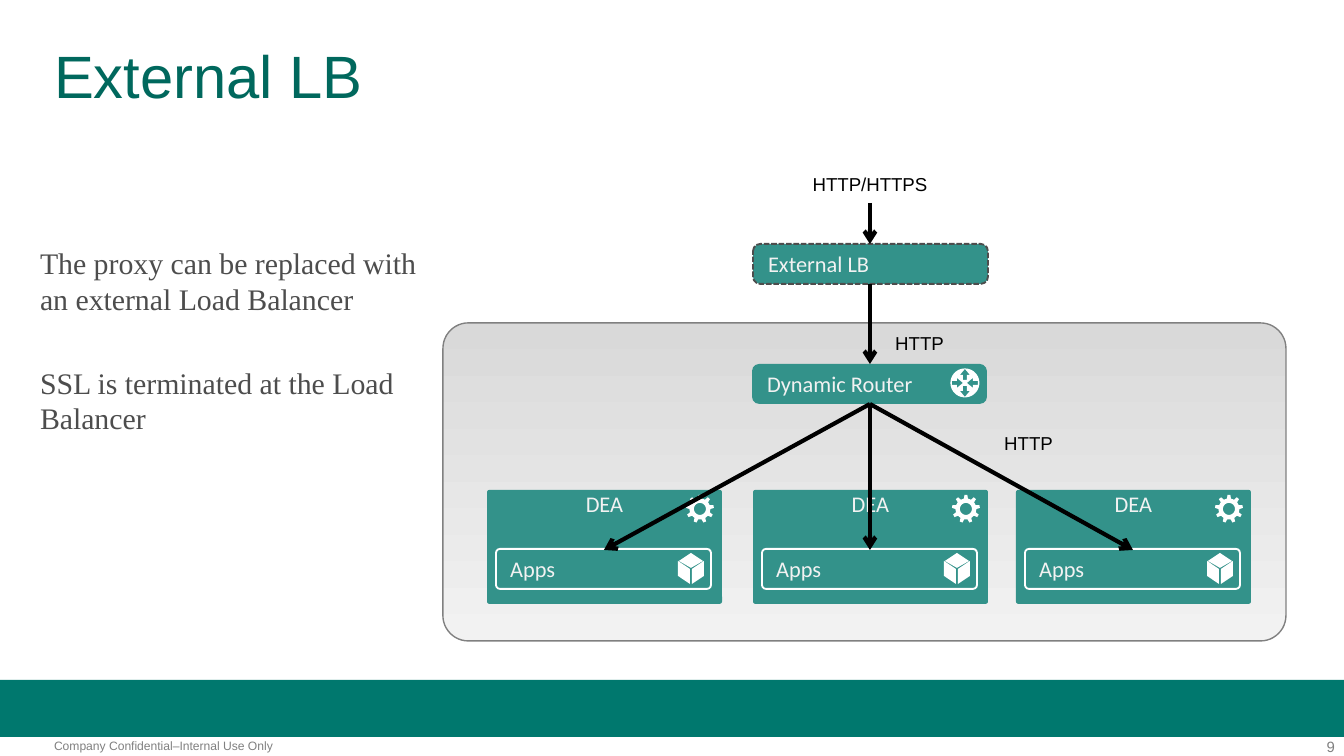
from dataclasses import dataclass
from math import cos, pi, sin

from lxml.etree import SubElement
from pptx import Presentation
from pptx.dml.color import RGBColor
from pptx.enum.dml import MSO_LINE
from pptx.enum.shapes import MSO_CONNECTOR as CONN, MSO_SHAPE as SHAPE
from pptx.enum.text import MSO_ANCHOR as ANCHOR, PP_ALIGN as ALIGN
from pptx.oxml.ns import qn
from pptx.util import Pt

SCALE = 914400 / 134.4  # EMU per pixel


@dataclass(frozen=True)
class Theme:
    bar: str = "00786E"
    title: str = "00685D"
    box: str = "33928A"
    box_text: str = "F2F2F2"
    white: str = "FFFFFF"
    black: str = "000000"
    grey: str = "808080"
    dark: str = "4D4D4D"
    panel_top: str = "D9D9D9"
    panel_bottom: str = "F2F2F2"
    title_pt: float = 32
    body_pt: float = 16
    box_pt: float = 12
    label_pt: float = 10
    number_pt: float = 8
    footer_pt: float = 6.5
    sans: str = "Arial"
    box_font: str = "Calibri"
    serif: str = "Times New Roman"


T = Theme()


def px(*values):
    return [round(v * SCALE) for v in values]


def rgb(code):
    return RGBColor.from_string(code)


# Text
def write(sp, text, size, color, font=T.sans, align=ALIGN.LEFT, anchor=ANCHOR.TOP,
          inset=(13, 7), wrap=True, gap=0, spacing=None):
    tf = sp.text_frame
    tf.word_wrap = wrap
    tf.vertical_anchor = anchor
    tf.margin_left = tf.margin_right = px(inset[0])[0]
    tf.margin_top = tf.margin_bottom = px(inset[1])[0]
    for i, line in enumerate(text.split("\n")):
        p = tf.paragraphs[0] if i == 0 else tf.add_paragraph()
        p.alignment = align
        p.line_spacing = spacing
        p.space_before = Pt(gap if i else 0)
        r = p.add_run()
        r.text = line
        r.font.size, r.font.name = Pt(size), font
        r.font.color.rgb = rgb(color)


def add_text(s, box, text, size, color, **fmt):
    write(s.shapes.add_textbox(*px(*box)), text, size, color, **fmt)


# Shapes
def add_box(s, box, fill=None, line=None, width=1, radius=None, dash=None):
    kind = SHAPE.RECTANGLE if radius is None else SHAPE.ROUNDED_RECTANGLE
    sp = s.shapes.add_shape(kind, *px(*box))
    sp.shadow.inherit = False
    if radius is not None:
        sp.adjustments[0] = radius
    if fill:
        sp.fill.solid()
        sp.fill.fore_color.rgb = rgb(fill)
    else:
        sp.fill.background()
    if line:
        sp.line.color.rgb = rgb(line)
        sp.line.width = Pt(width)
        sp.line.dash_style = dash
    else:
        sp.line.fill.background()
    return sp


def add_node(s, box, text, align=ALIGN.LEFT, anchor=ANCHOR.MIDDLE, **look):
    write(add_box(s, box, **look), text, T.box_pt, T.box_text, font=T.box_font,
          align=align, anchor=anchor, inset=(13, 0))


def add_panel(s, box):
    sp = add_box(s, box, line=T.grey, width=0.75, radius=0.08)
    sp.fill.gradient()
    sp.fill.gradient_angle = 270
    stops = zip(sp.fill.gradient_stops, (0, 1), (T.panel_top, T.panel_bottom))
    for stop, position, color in stops:
        stop.position = position
        stop.color.rgb = rgb(color)


def add_arrow(s, x1, y1, x2, y2):
    c = s.shapes.add_connector(CONN.STRAIGHT, *px(x1, y1, x2, y2))
    c.line.color.rgb = rgb(T.black)
    c.line.width = Pt(2.25)
    SubElement(c.line._get_or_add_ln(), qn("a:tailEnd"), type="arrow")
    SubElement(c._element.spPr, qn("a:effectLst"))


# Icons: white outlines whose inner contours are holes
def add_icon(s, cx, cy, contours):
    contours = [[px(cx + x, cy + y) for x, y in c] for c in contours]
    builder = s.shapes.build_freeform(*contours[0][0])
    for i, points in enumerate(contours):
        if i:
            builder.move_to(*points[0])
        builder.add_line_segments(points[1:], close=True)
    sp = builder.convert_to_shape()
    sp.shadow.inherit = False
    sp.fill.solid()
    sp.fill.fore_color.rgb = rgb(T.white)
    sp.line.fill.background()


def polar(radius, angle):
    return radius * sin(angle), -radius * cos(angle)


def circle(radius, steps=40):
    return [polar(radius, 2 * pi * i / steps) for i in range(steps)]


def add_gear(s, cx, cy, teeth=9):
    profile = ((-0.27, 10.5), (-0.15, 14), (0.15, 14), (0.27, 10.5))
    rim = [polar(r, 2 * pi * (i + t) / teeth) for i in range(teeth) for t, r in profile]
    add_icon(s, cx, cy, [rim, circle(6)])


def add_cube(s, cx, cy):
    left = [(-13, -8), (-1, 0), (-1, 15), (-13, 7)]
    right = [(-x, y) for x, y in left]
    top = [(0, -16), (12, -8), (0, -1), (-12, -8)]
    add_icon(s, cx, cy, [left, right, top])


def add_router_icon(s, cx, cy):
    up = [(0, -14), (-5, -8), (-2, -8), (-2, -3), (2, -3), (2, -8), (5, -8)]
    left = [(-2, 0), (-8, -5), (-8, -2), (-13, -2), (-13, 2), (-8, 2), (-8, 5)]
    down = [(x, -y) for x, y in up]
    right = [(-x, y) for x, y in left]
    add_icon(s, cx, cy, [circle(14.5), up, down, left, right])


# One DEA card with its app
def add_dea(s, x, y):
    add_node(s, (x, y, 235, 114), "DEA", align=ALIGN.CENTER, anchor=ANCHOR.TOP,
             fill=T.box, radius=0.02)
    add_node(s, (x + 9, y + 59, 215, 40), "Apps", line=T.white, radius=0.1)
    add_cube(s, x + 204, y + 79)
    add_gear(s, x + 213, y + 19)


def main():
    prs = Presentation()
    prs.slide_width, prs.slide_height = px(1344, 756)
    s = prs.slides.add_slide(prs.slide_layouts[6])

    # Footer and title
    add_box(s, (0, 680, 1344, 57), fill=T.bar)
    add_text(s, (1257, 738, 78, 17), "9", T.number_pt, T.grey, align=ALIGN.RIGHT, inset=(0, 0))
    add_text(s, (54, 738, 335, 15), "Company Confidential–Internal Use Only",
             T.footer_pt, T.grey, inset=(0, 0))
    add_text(s, (54, 45, 1236, 67), "External LB", T.title_pt, T.title,
             anchor=ANCHOR.BOTTOM, inset=(0, 0), spacing=0.9)

    # Load balancer and router
    add_panel(s, (443, 323, 843, 318))
    add_node(s, (752, 364, 235, 40), "Dynamic Router", fill=T.box, radius=0.18)
    add_router_icon(s, 965, 383)
    add_node(s, (753, 244, 235, 40), "External LB", fill=T.box, line=T.dark,
             radius=0.18, dash=MSO_LINE.SQUARE_DOT)

    # DEA cards
    cards = (487, 753, 1016)
    for x in cards:
        add_dea(s, x, 490)

    # Traffic
    add_arrow(s, 870, 203, 870, 244)
    add_arrow(s, 870, 284, 870, 364)
    for x in cards:
        add_arrow(s, 870, 404, x + 117, 550)
    for text, x, y, w in (("HTTP/HTTPS", 798, 166, 144),
                          ("HTTP", 881, 325, 77),
                          ("HTTP", 990, 425, 77)):
        add_text(s, (x, y, w, 36), text, T.label_pt, T.black, align=ALIGN.CENTER, wrap=False)

    # Body
    add_text(s, (27, 238, 406, 262),
             "The proxy can be replaced with an external Load Balancer\n"
             "SSL is terminated at the Load Balancer",
             T.body_pt, T.dark, font=T.serif, gap=25.5)

    prs.save("out.pptx")


main()
